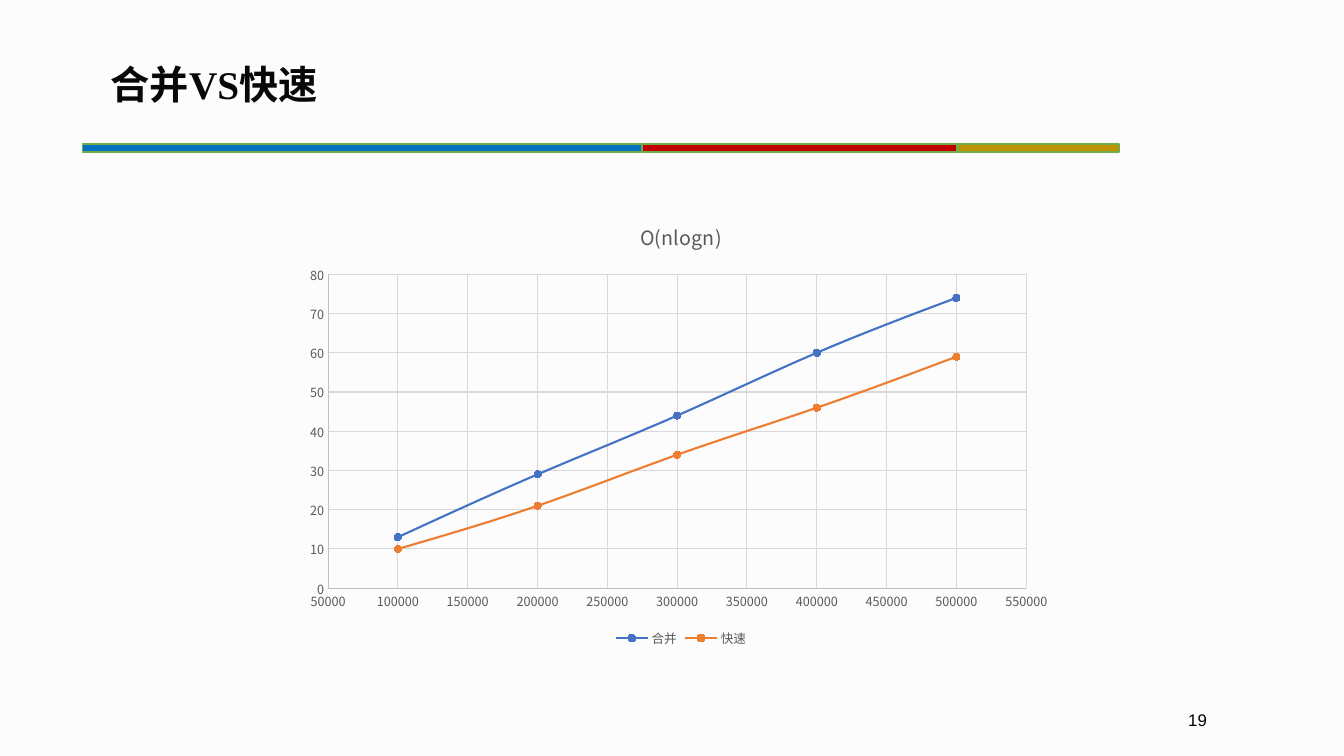
from lxml import etree
from pptx import Presentation
from pptx.chart.data import XyChartData
from pptx.dml.color import RGBColor
from pptx.enum.chart import XL_CHART_TYPE, XL_LEGEND_POSITION, XL_MARKER_STYLE, XL_TICK_MARK
from pptx.enum.shapes import MSO_SHAPE
from pptx.enum.text import PP_ALIGN
from pptx.oxml.ns import qn
from pptx.util import Inches, Pt

RECT = MSO_SHAPE.RECTANGLE
SMOOTH = XL_CHART_TYPE.XY_SCATTER_SMOOTH
BOTTOM = XL_LEGEND_POSITION.BOTTOM
CIRCLE = XL_MARKER_STYLE.CIRCLE
NO_TICK = XL_TICK_MARK.NONE
LEFT, RIGHT = PP_ALIGN.LEFT, PP_ALIGN.RIGHT

HUES = {
    "back": "FCFCFC", "title": "080808", "black": "000000",
    "blue": "0070C0", "red": "C00000", "gold": "BF9000", "edge": "70AD47",
    "merge": "4472C4", "quick": "ED7D31",
    "label": "595959", "axis": "BFBFBF", "grid": "D9D9D9",
}
SANS = "Noto Sans CJK SC"
SIZES = [100000, 200000, 300000, 400000, 500000]
TIMES = [
    ("合并", "merge", [13, 29, 44, 60, 74]),
    ("快速", "quick", [10, 21, 34, 46, 59]),
]
BANDS = [("blue", 0, 5.54), ("red", 5.55, 3.12), ("gold", 8.68, 1.6)]


def hue(name):
    return RGBColor.from_string(HUES[name])


def style(font, face, size, color, bold=False):
    font.name = face
    font.size = Pt(size)
    font.bold = bold
    font.color.rgb = hue(color)


def stroke(line, color, width):
    line.color.rgb = hue(color)
    line.width = Pt(width)


def add_text(slide, box, text, face, size, color, align=LEFT, bold=False, inset=0.1):
    frame = slide.shapes.add_textbox(*map(Inches, box)).text_frame
    frame.word_wrap = True
    frame.margin_right = Inches(inset)
    para = frame.paragraphs[0]
    para.text = text
    para.alignment = align
    run = para.runs[0]
    style(run.font, face, size, color, bold)
    east = etree.SubElement(run.font._element, qn("a:ea"))
    east.set("typeface", SANS)


def add_bar(slide, box):
    left, top, _, height = box
    for color, shift, width in BANDS:
        band = slide.shapes.add_shape(
            RECT, Inches(left + shift), Inches(top), Inches(width), Inches(height))
        band.shadow.inherit = False
        band.fill.solid()
        band.fill.fore_color.rgb = hue(color)
        stroke(band.line, "edge", 1)


def set_axis(axis, low, high, step):
    axis.minimum_scale, axis.maximum_scale = low, high
    axis.major_unit = step
    axis.major_tick_mark = axis.minor_tick_mark = NO_TICK
    axis.has_major_gridlines = True
    stroke(axis.major_gridlines.format.line, "grid", 0.75)
    stroke(axis.format.line, "axis", 0.75)
    style(axis.tick_labels.font, SANS, 9, "label")


def set_plot(chart, area):
    plot = chart.element.find(".//" + qn("c:plotArea"))
    for old in plot.findall(qn("c:layout")):
        plot.remove(old)
    layout = etree.Element(qn("c:layout"))
    manual = etree.SubElement(layout, qn("c:manualLayout"))
    parts = [("layoutTarget", "inner"), ("xMode", "edge"), ("yMode", "edge")]
    for tag, value in parts + list(zip("xywh", area)):
        etree.SubElement(manual, qn("c:" + tag)).set("val", str(value))
    plot.insert(0, layout)


def add_graph(slide, box):
    data = XyChartData()
    for name, _, times in TIMES:
        series = data.add_series(name)
        for size, time in zip(SIZES, times):
            series.add_data_point(size, time)
    chart = slide.shapes.add_chart(SMOOTH, *map(Inches, box), data).chart
    style(chart.font, SANS, 10, "black")
    chart.has_title = True
    para = chart.chart_title.text_frame.paragraphs[0]
    para.text = "O(nlogn)"
    style(para.runs[0].font, SANS, 14, "label")
    chart.has_legend = True
    chart.legend.position = BOTTOM
    chart.legend.include_in_layout = False
    style(chart.legend.font, SANS, 9, "label")
    set_axis(chart.category_axis, 50000, 550000, 50000)
    set_axis(chart.value_axis, 0, 80, 10)
    plot = chart.plots[0]
    plot.vary_by_categories = False
    for series, (_, color, _) in zip(plot.series, TIMES):
        smooth = series._element.find(qn("c:smooth"))
        if smooth is None:
            smooth = etree.SubElement(series._element, qn("c:smooth"))
        smooth.set("val", "1")
        stroke(series.format.line, color, 1.5)
        mark = series.marker
        mark.style, mark.size = CIRCLE, 5
        mark.format.fill.solid()
        mark.format.fill.fore_color.rgb = hue(color)
        stroke(mark.format.line, color, 0.75)
    set_plot(chart, (0.04, 0.16, 0.91, 0.7))


def main():
    deck = Presentation()
    deck.slide_width, deck.slide_height = Inches(13.33), Inches(7.5)
    slide = deck.slides.add_slide(deck.slide_layouts[6])
    slide.background.fill.solid()
    slide.background.fill.fore_color.rgb = hue("back")
    add_bar(slide, (0.82, 1.43, 10.28, 0.08))
    add_text(slide, (1, 0.55, 9.82, 0.57), "合并VS快速",
             "Times New Roman", 28, "title", bold=True)
    add_text(slide, (9.49, 6.99, 3, 0.4), "19", "Arial", 12, "black", RIGHT, inset=0.52)
    add_graph(slide, (2.95, 2.01, 7.61, 4.45))
    deck.save("out.pptx")


if __name__ == "__main__":
    main()
